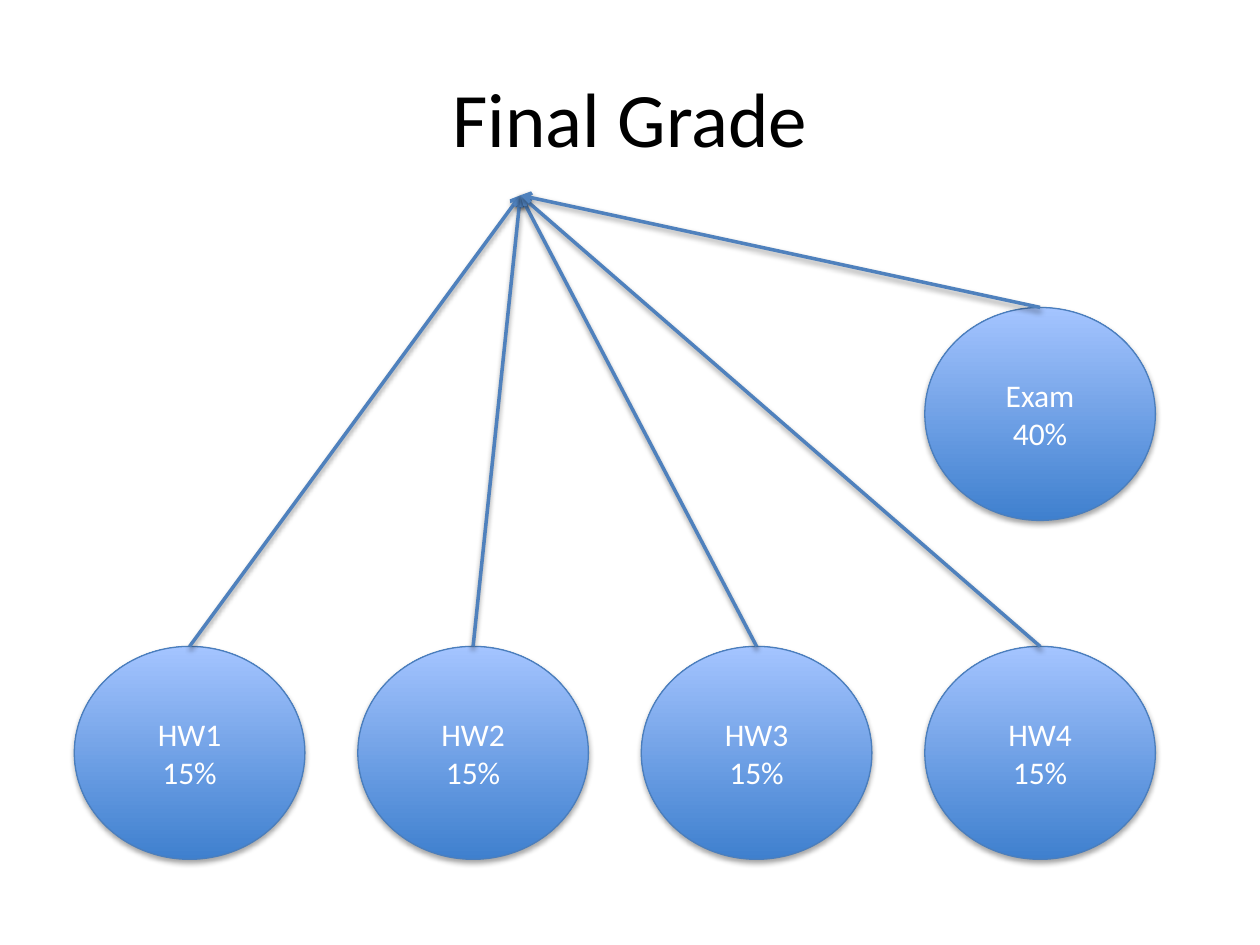
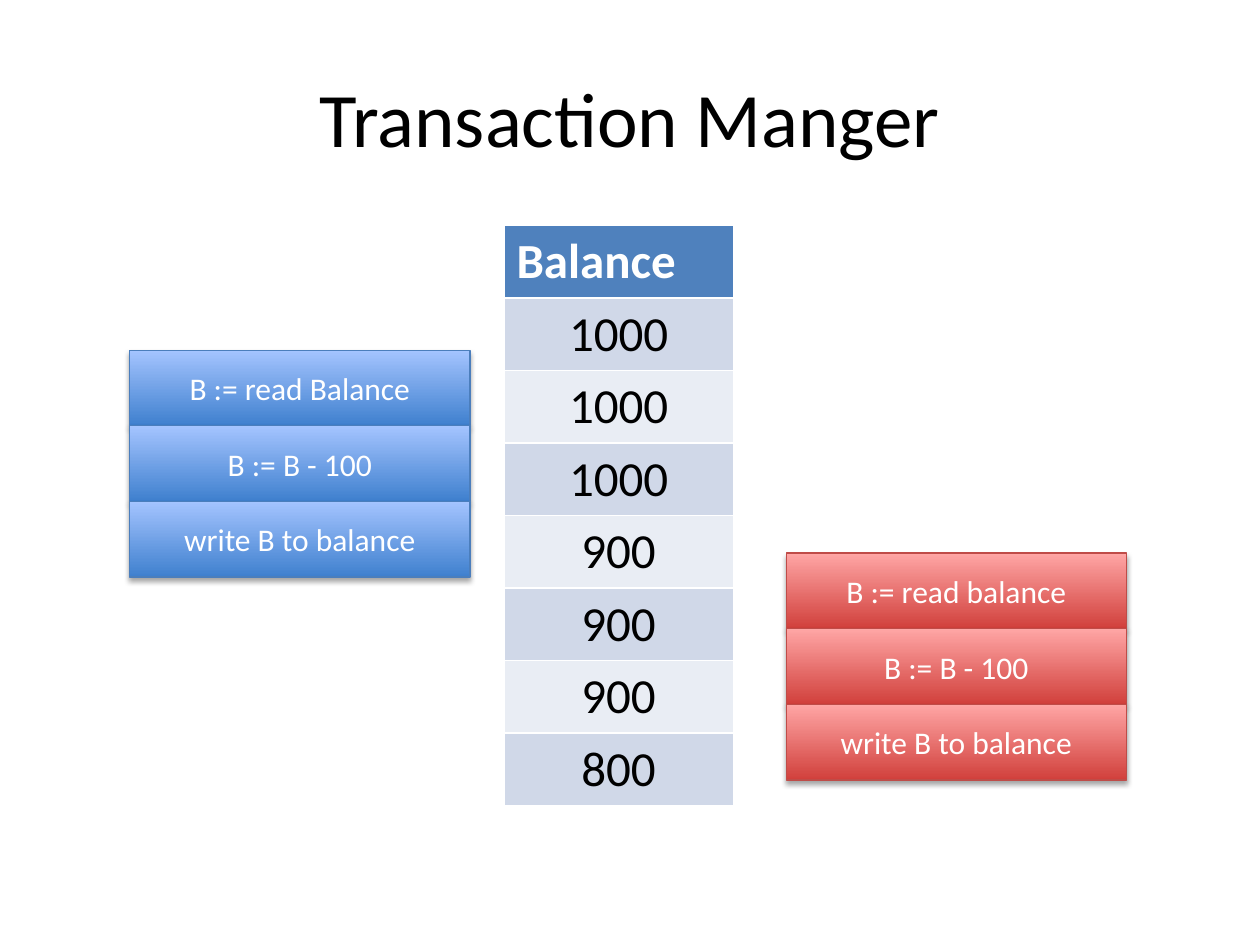
from lxml.etree import SubElement
from pptx import Presentation
from pptx.dml.color import RGBColor
from pptx.enum.shapes import MSO_CONNECTOR as Link, MSO_SHAPE as Form
from pptx.enum.text import PP_ALIGN as Align
from pptx.oxml import parse_xml
from pptx.oxml.ns import nsdecls, qn
from pptx.util import Inches, Pt

hue = RGBColor.from_string
FONT, WHITE, BLACK, BLUE = "Calibri", "FFFFFF", "000000", "4F81BD"
# Each tone: bottom of the fill, top of the fill, outline
COOL = ("3F80CE", "A4C4FF", "4B7EBC")
WARM = ("D1403C", "FFA6A5", "BF4C48")


def write(frame, text, size=18, color=WHITE, bold=False, align=Align.CENTER):
    frame.text = text
    for para in frame.paragraphs:
        para.alignment = align
        font = para.runs[0].font
        font.name, font.size, font.bold = FONT, Pt(size), bold
        font.color.rgb = hue(color)


def node(page, form, spot, text, tone):
    """Add a shape with a vertical gradient and centred text; spot is in inches."""
    shape = page.shapes.add_shape(form, *map(Inches, spot))
    low, high, edge = tone
    shape.fill.gradient()
    shape.fill.gradient_angle = 90
    for stop, color in zip(shape.fill.gradient_stops, (low, high)):
        stop.color.rgb = hue(color)
    shape.line.color.rgb = hue(edge)
    shape.line.width = Pt(0.75)
    write(shape.text_frame, text)
    return shape


deck = Presentation()
deck.slide_width, deck.slide_height = Inches(10), Inches(7.5)
pages = []
for title in ("Final Grade", "Transaction Manger"):
    page = deck.slides.add_slide(deck.slide_layouts[5])
    head = page.shapes.title
    head.left, head.top, head.width, head.height = map(Inches, (0.5, 0.3, 9, 1.25))
    write(head.text_frame, title, size=44, color=BLACK)
    pages.append(page)
grade, trade = pages

# Final grade: a row of homework circles with the exam above the last one
LEFT, STEP, WIDE, TALL = 0.59, 2.25, 1.83, 1.69
LOW, HIGH = 5.13, 2.44
parts = [(col, LOW, f"HW{col + 1}\n15%") for col in range(4)]
parts.append((3, HIGH, "Exam\n40%"))
rounds = [
    node(grade, Form.OVAL, (LEFT + col * STEP, top, WIDE, TALL), text, COOL)
    for col, top, text in parts
]
goal = Inches(4.13), Inches(1.55)
for item in rounds:
    arrow = grade.shapes.add_connector(Link.STRAIGHT, 0, 0, *goal)
    arrow.begin_connect(item, 0)
    arrow.line.color.rgb = hue(BLUE)
    arrow.line.width = Pt(2)
    SubElement(arrow.line._get_or_add_ln(), qn("a:tailEnd"), type="arrow")

# Transactions: two stacks of steps around the balance
STEPS = ("B := B - 100", "write B to balance")
stacks = [
    (1.03, 2.78, COOL, ("B := read Balance", *STEPS)),
    (6.24, 4.39, WARM, ("B := read balance", *STEPS)),
]
for left, top, tone, steps in stacks:
    for row, text in enumerate(steps):
        node(trade, Form.RECTANGLE, (left, top + row * 0.6, 2.7, 0.6), text, tone)

sums = ("Balance", "1000", "1000", "1000", "900", "900", "900", "800")
grid = trade.shapes.add_table(len(sums), 1, *map(Inches, (4, 1.79, 1.82, 4.53))).table
for row, text in enumerate(sums):
    cell = grid.cell(row, 0)
    cell.fill.solid()
    if row == 0:
        cell.fill.fore_color.rgb = hue(BLUE)
        write(cell.text_frame, text, size=28, bold=True, align=Align.LEFT)
    else:
        cell.fill.fore_color.rgb = hue("D0D8E8" if row % 2 else "E9EDF4")
        write(cell.text_frame, text, size=28, color=BLACK)

# Soft shadow below every circle, box and arrow
for page in pages:
    for shape in page.shapes:
        if shape.is_placeholder or shape.has_table:
            continue
        drop, alpha = (1.8, 35) if shape.has_text_frame else (1.6, 38)
        shape.element.spPr.append(parse_xml(
            f'<a:effectLst {nsdecls("a")}><a:outerShdw blurRad="{Pt(3.1)}" '
            f'dist="{Pt(drop)}" dir="5400000" rotWithShape="0"><a:srgbClr val="{BLACK}">'
            f'<a:alpha val="{alpha * 1000}"/></a:srgbClr></a:outerShdw></a:effectLst>'))

deck.save("out.pptx")
